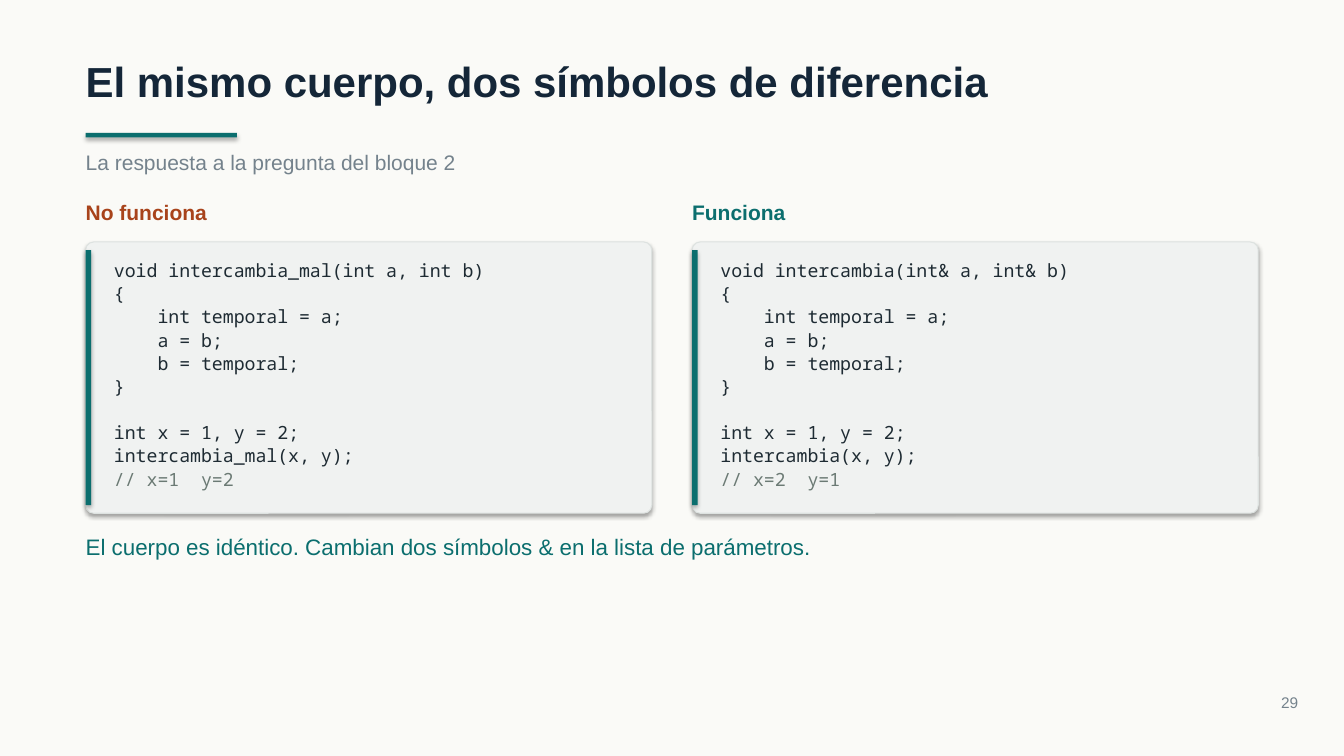
from pptx import Presentation
from pptx.dml.color import RGBColor
from pptx.enum.shapes import MSO_SHAPE as Shape
from pptx.enum.text import MSO_AUTO_SIZE as AutoSize, PP_ALIGN as Align
from pptx.util import Pt

COLORS = {
    "background": "FAFAF7",
    "title": "142638",
    "accent": "0B6E6E",
    "muted": "74828C",
    "wrong": "A8431B",
    "panel": "F0F2F1",
    "border": "DDE2E0",
    "code": "1E2B33",
    "comment": "6B7A74",
}
MARGIN, CONTENT_WIDTH, COLUMN_GAP = 61.2, 837.6, 28.8
CODE = """void {name}({parameters})
{{
    int temporal = a;
    a = b;
    b = temporal;
}}
 
int x = 1, y = 2;
{name}(x, y);
{result}"""


def color(name):
    """Return the named colour."""
    return RGBColor.from_string(COLORS[name])


def add_text(page, box, text, size, ink, bold=False, font="Arial", align=Align.LEFT, spacing=None):
    """Write text without insets in a box and return its paragraphs."""
    frame = page.shapes.add_textbox(*map(Pt, box)).text_frame
    frame.margin_left = frame.margin_top = frame.margin_right = frame.margin_bottom = 0
    frame.word_wrap = True
    frame.auto_size = AutoSize.SHAPE_TO_FIT_TEXT
    frame.text = text
    for para in frame.paragraphs:
        para.alignment = align
        para.line_spacing = spacing
        for run in para.runs:
            run.font.name = font
            run.font.size = Pt(size)
            run.font.bold = bold
            run.font.color.rgb = color(ink)
    return frame.paragraphs


def add_block(page, kind, box, fill):
    """Draw a filled shape with the theme shadow and no outline."""
    block = page.shapes.add_shape(kind, *map(Pt, box))
    block.fill.solid()
    block.fill.fore_color.rgb = color(fill)
    block.line.fill.background()
    return block


def add_header(page, box, title, subtitle):
    """Place the title, its short rule and the subtitle."""
    left, top, width, height = box
    add_text(page, (left, top, width, 36), title, 30, "title", bold=True)
    add_block(page, Shape.RECTANGLE, (left, top + 55.4, 108, 3.2), "accent")
    add_text(page, (left, top + height - 18, width, 18), subtitle, 15, "muted")


def add_code_column(page, box, heading, ink, code):
    """Place a heading above a code panel with an accent bar."""
    left, top, width, height = box
    add_text(page, (left, top, width, 18), heading, 15, ink, bold=True)
    panel_top, panel_height = top + 30.2, height - 30.2
    panel = add_block(page, Shape.ROUNDED_RECTANGLE, (left, panel_top, width, panel_height), "panel")
    panel.adjustments[0] = 0.03
    panel.line.color.rgb = color("border")
    panel.line.width = Pt(0.75)
    add_block(page, Shape.RECTANGLE, (left, panel_top + 5.8, 3.9, panel_height - 11.6), "accent")
    code_box = (left + 20.2, panel_top + 11.5, width - 32.4, panel_height - 28)
    lines = add_text(page, code_box, code, 13, "code", font="Noto Sans Mono", spacing=1.06)
    lines[-1].runs[0].font.color.rgb = color("comment")


def add_footer(page, box, number):
    """Place the page number at the right of its box."""
    add_text(page, box, number, 11, "muted", align=Align.RIGHT)


def main():
    """Build the comparison slide and save the deck."""
    deck = Presentation()
    deck.slide_width, deck.slide_height = Pt(960), Pt(540)
    page = deck.slides.add_slide(deck.slide_layouts[6])
    page.background.fill.solid()
    page.background.fill.fore_color.rgb = color("background")

    add_header(page, (MARGIN, 39.6, CONTENT_WIDTH, 85),
               "El mismo cuerpo, dos símbolos de diferencia",
               "La respuesta a la pregunta del bloque 2")
    versions = [
        ("No funciona", "wrong", "intercambia_mal", "int a, int b", "// x=1  y=2"),
        ("Funciona", "accent", "intercambia", "int& a, int& b", "// x=2  y=1"),
    ]
    column_width = (CONTENT_WIDTH - COLUMN_GAP) / 2
    for index, (heading, ink, name, parameters, result) in enumerate(versions):
        left = MARGIN + index * (column_width + COLUMN_GAP)
        code = CODE.format(name=name, parameters=parameters, result=result)
        add_code_column(page, (left, 142.6, column_width, 224), heading, ink, code)
    add_text(page, (MARGIN, 381, CONTENT_WIDTH, 19.2),
             "El cuerpo es idéntico. Cambian dos símbolos & en la lista de parámetros.",
             16, "accent")
    add_footer(page, (862.6, 495.4, 64.8, 13.2), "29")
    deck.save("out.pptx")


if __name__ == "__main__":
    main()
